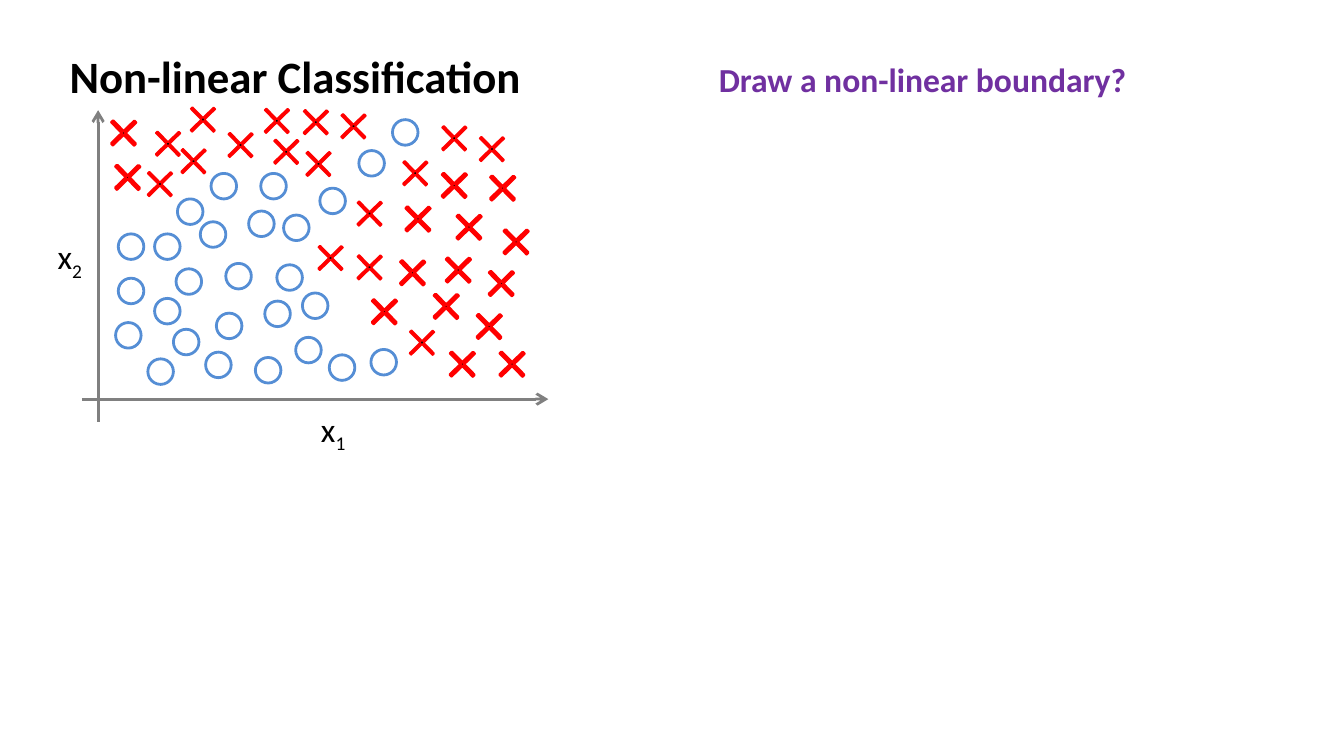
from lxml import etree
from pptx import Presentation
from pptx.dml.color import RGBColor
from pptx.enum.shapes import MSO_CONNECTOR, MSO_SHAPE
from pptx.enum.text import MSO_AUTO_SIZE
from pptx.oxml.ns import qn
from pptx.util import Inches, Pt

STRAIGHT = MSO_CONNECTOR.STRAIGHT
OVAL, CROSS = MSO_SHAPE.OVAL, MSO_SHAPE.CROSS
FIT_SHAPE = MSO_AUTO_SIZE.SHAPE_TO_FIT_TEXT

COLORS = {"black": "000000", "purple": "7030A0", "axis": "808080",
          "circle": "558ED5", "cross": "FF0000"}
FONT = "Calibri"
CIRCLE_SIZE, CROSS_SIZE = 0.19, 0.24

# Text: text, subscript, left, top, width, height, size, color, bold, wrap
TEXTS = [
    ("Non-linear Classification", "", 0.42, 0.31, 7, 0.5, 24, "black", True, True),
    ("x", "2", 0.33, 1.71, 0.4, 0.4, 18, "black", False, False),
    ("x", "1", 2.29, 2.99, 0.4, 0.4, 18, "black", False, False),
    ("Draw a non-linear boundary?", "", 5.25, 0.39, 3.26, 0.4, 18, "purple", True, False),
]

# Axes: start x, start y, end x, end y
AXES = [(0.73, 3.14, 0.73, 0.82), (0.61, 2.97, 4.08, 2.97)]

# Data points: left, top of each marker
CIRCLES = [
    (1.32, 1.48), (1.61, 2.33), (1.68, 1.96), (1.9, 2.66), (1.1, 2.67),
    (2.2, 2.51), (0.88, 2.07), (1.15, 1.74), (1.97, 2.24), (2.25, 2.18),
    (1.29, 2.45), (1.53, 2.62), (2.06, 1.97), (2.76, 2.6), (2.45, 2.64),
    (0.88, 1.74), (0.86, 2.4), (1.31, 2), (1.15, 2.22), (1.49, 1.65),
    (1.57, 1.29), (1.85, 1.57), (2.11, 1.6), (1.94, 1.29), (2.92, 0.89),
    (2.38, 1.4), (2.67, 1.12),
]
BOLD_CROSSES = [
    (3.37, 1.57), (3.52, 2.31), (3.62, 1.28), (3.26, 1.26), (2.74, 2.2),
    (2.95, 1.91), (3.2, 2.16), (3.29, 1.89), (3.32, 2.59), (3.72, 1.68),
    (2.99, 1.51), (0.8, 0.87), (0.83, 1.2), (3.61, 1.99), (3.69, 2.59),
]
THIN_CROSSES = [
    (1.07, 1.25), (1.13, 0.95), (1.39, 0.77), (1.32, 1.08), (1.67, 0.96),
    (1.94, 0.78), (2.01, 1.01), (2.23, 0.79), (2.51, 0.82), (2.25, 1.1),
    (2.34, 1.8), (2.63, 1.47), (2.63, 1.87), (2.97, 1.17), (3.26, 0.91),
    (3.54, 0.99), (3.02, 2.43),
]


def rgb(name):
    return RGBColor.from_string(COLORS[name])


def add_text(s, text, sub, left, top, width, height, size, color, bold, wrap):
    box = s.shapes.add_textbox(*map(Inches, (left, top, width, height)))
    tf = box.text_frame
    tf.word_wrap = wrap
    tf.auto_size = FIT_SHAPE
    p = tf.paragraphs[0]
    for part in filter(None, (text, sub)):
        r = p.add_run()
        r.text = part
        r.font.name, r.font.size, r.font.bold = FONT, Pt(size), bold
        r.font.color.rgb = rgb(color)
    if sub:
        r._r.get_or_add_rPr().set("baseline", "-25000")


def add_axis(s, x1, y1, x2, y2):
    axis = s.shapes.add_connector(STRAIGHT, *map(Inches, (x1, y1, x2, y2)))
    axis.line.color.rgb = rgb("axis")
    axis.line.width = Pt(1.5)
    etree.SubElement(axis.line._get_or_add_ln(), qn("a:tailEnd"), type="arrow")
    etree.SubElement(axis._element.spPr, qn("a:effectLst"))


def add_marker(s, shape, left, top, size, color, weight):
    sp = s.shapes.add_shape(shape, *map(Inches, (left, top, size, size)))
    sp.shadow.inherit = False
    sp.line.color.rgb = rgb(color)
    sp.line.width = Pt(weight)
    return sp


def add_circle(s, left, top):
    add_marker(s, OVAL, left, top, CIRCLE_SIZE, "circle", 1.5).fill.background()


def add_cross(s, left, top, weight):
    sp = add_marker(s, CROSS, left, top, CROSS_SIZE, "cross", weight)
    sp.adjustments[0] = 0.466
    sp.rotation = 45.6
    sp.fill.solid()
    sp.fill.fore_color.rgb = rgb("black")


# Widescreen slide, 16:9
prs = Presentation()
prs.slide_width = Inches(10)
prs.slide_height = Inches(10 * 9 / 16)
s = prs.slides.add_slide(prs.slide_layouts[6])

# Plot
for axis in AXES:
    add_axis(s, *axis)
for point in CIRCLES:
    add_circle(s, *point)
for weight, points in ((1.5, BOLD_CROSSES), (1, THIN_CROSSES)):
    for point in points:
        add_cross(s, *point, weight)

# Title, axis labels and question
for item in TEXTS:
    add_text(s, *item)

prs.save("out.pptx")
